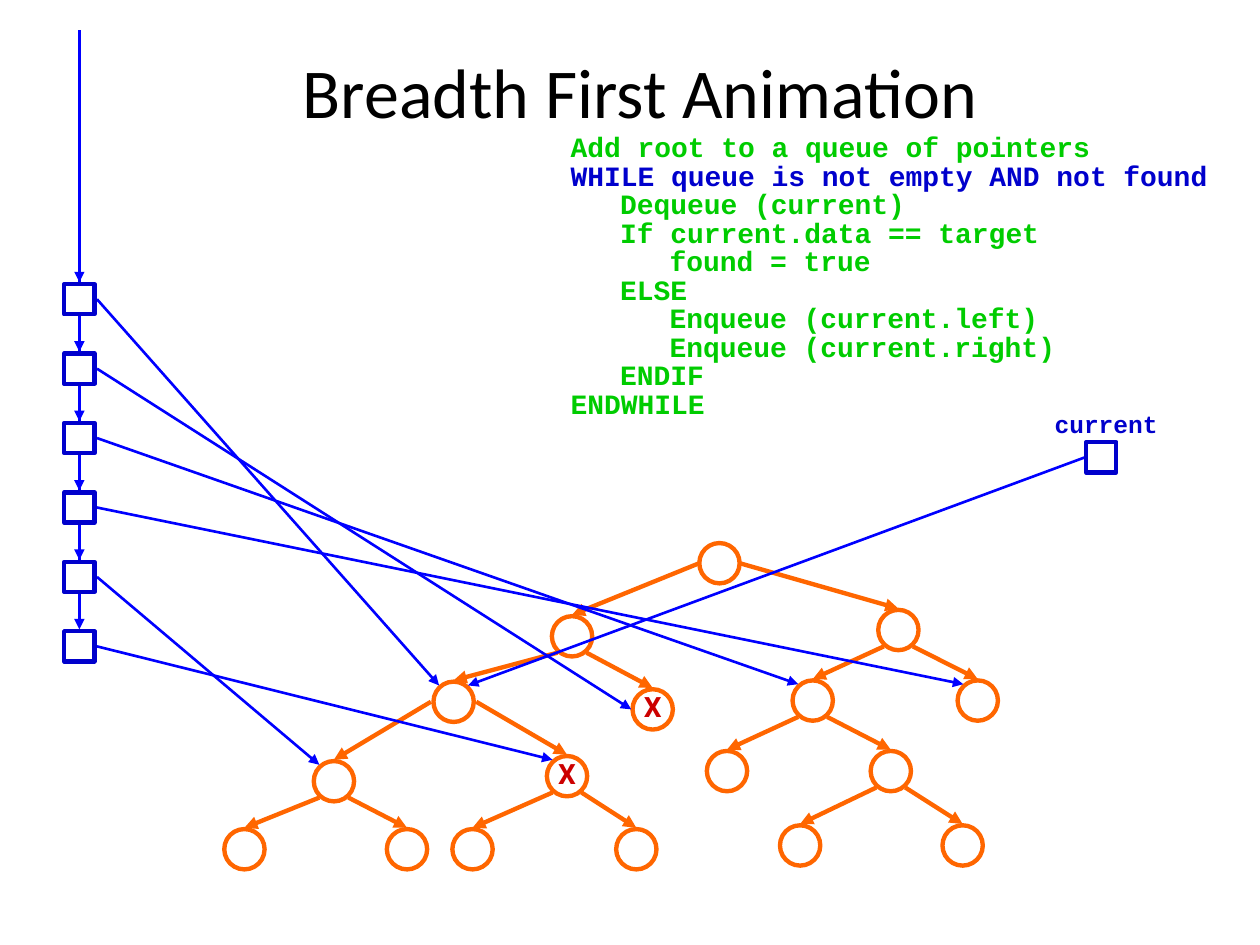
from lxml import etree
from pptx import Presentation
from pptx import util as u
from pptx.dml.color import RGBColor
from pptx.enum import shapes, text
from pptx.oxml import ns

THEME = {
    "black": RGBColor.from_string("000000"),
    "white": RGBColor.from_string("FFFFFF"),
    "tree": RGBColor.from_string("FF6600"),
    "queue": RGBColor.from_string("0000CC"),
    "pointer": RGBColor.from_string("0000FF"),
    "code": RGBColor.from_string("00CC00"),
    "mark": RGBColor.from_string("CC0000"),
    "title_size": u.Pt(40),
    "code_size": u.Pt(16),
    "label_size": u.Pt(14),
    "thick": u.Pt(2.5),
    "thin": u.Pt(1.5),
    "title_font": "Calibri",
    "code_font": "Courier New",
    "mark_font": "Roboto",
}

presentation = Presentation()
presentation.slide_width = u.Inches(10)
presentation.slide_height = u.Inches(7.5)
slide = presentation.slides.add_slide(presentation.slide_layouts[5])
cell = presentation.slide_width // 100


def add_arrow(start, end, color, width):
    line = slide.shapes.add_connector(
        shapes.MSO_CONNECTOR.STRAIGHT, *[int(value * cell) for value in (*start, *end)])
    line.line.color.rgb = color
    line.line.width = width
    etree.SubElement(line.line._get_or_add_ln(), ns.qn("a:tailEnd"), type="triangle")
    etree.SubElement(line._element.spPr, ns.qn("a:effectLst"))


def add_node(kind, center, size, color):
    left, top = [int((value - size / 2) * cell) for value in center]
    shape = slide.shapes.add_shape(kind, left, top, int(size * cell), int(size * cell))
    shape.shadow.inherit = False
    shape.fill.solid()
    shape.fill.fore_color.rgb = THEME["white"]
    shape.line.color.rgb = color
    shape.line.width = THEME["thick"]
    return shape


title = slide.shapes.title
title.left, title.top, title.width, title.height = [
    int(value * cell) for value in (8.3, 3.6, 85, 7.1)]
title.text_frame.text = "Breadth First Animation"
title.text_frame.vertical_anchor = text.MSO_ANCHOR.MIDDLE
paragraph = title.text_frame.paragraphs[0]
paragraph.alignment = text.PP_ALIGN.CENTER
paragraph.font.size = THEME["title_size"]
paragraph.font.name = THEME["title_font"]
paragraph.font.color.rgb = THEME["black"]

nodes = {
    "root": (57.1, 44.7),
    "left": (45.4, 50.5), "right": (71.3, 50),
    "left_left": (36, 55.7), "left_right": (51.8, 56.3),
    "right_left": (64.5, 55.6), "right_right": (77.6, 55.6),
    "inner_left": (26.5, 62), "inner_right": (45, 61.6),
    "lower_left": (57.7, 61.2), "lower_right": (70.7, 61.2),
    "leaf_1": (19.4, 67.4), "leaf_2": (32.3, 67.4),
    "leaf_3": (37.5, 67.4), "leaf_4": (50.5, 67.4),
    "leaf_5": (63.5, 67.1), "leaf_6": (76.4, 67.1),
}
children = {
    "root": ("left", "right"),
    "left": ("left_left", "left_right"),
    "right": ("right_left", "right_right"),
    "left_left": ("inner_left", "inner_right"),
    "right_left": ("lower_left", "lower_right"),
    "inner_left": ("leaf_1", "leaf_2"),
    "inner_right": ("leaf_3", "leaf_4"),
    "lower_right": ("leaf_5", "leaf_6"),
}
side_starts = {"root": 1.6, "left_left": 1.8}
marked = ("left_right", "inner_right")

for name, center in nodes.items():
    shape = add_node(shapes.MSO_SHAPE.OVAL, center, 3.2, THEME["tree"])
    if name in marked:
        frame = shape.text_frame
        frame.margin_left = frame.margin_right = frame.margin_top = frame.margin_bottom = 0
        frame.word_wrap = False
        frame.vertical_anchor = text.MSO_ANCHOR.MIDDLE
        frame.text = "X"
        paragraph = frame.paragraphs[0]
        paragraph.alignment = text.PP_ALIGN.CENTER
        paragraph.line_spacing = 0.85
        paragraph.font.size = THEME["code_size"]
        paragraph.font.name = THEME["mark_font"]
        paragraph.font.bold = True
        paragraph.font.color.rgb = THEME["mark"]

for parent, pair in children.items():
    column, row = nodes[parent]
    reach = side_starts.get(parent, 1.15)
    drop = 0 if parent in side_starts else 1.3
    for side, child in zip((-1, 1), pair):
        end_column, end_row = nodes[child]
        add_arrow((column + side * reach, row + drop), (end_column, end_row - 1.7),
                  THEME["tree"], THEME["thick"])

code = [
    (0, "Add root to a queue of pointers"),
    (0, "WHILE queue is not empty AND not found"),
    (1, "Dequeue (current)"),
    (1, "If current.data == target"),
    (2, "found = true"),
    (1, "ELSE"),
    (2, "Enqueue (current.left)"),
    (2, "Enqueue (current.right)"),
    (1, "ENDIF"),
    (0, "ENDWHILE"),
]
labels = [
    ((45.3, 10.7, 52, 22.6), code, THEME["code_size"], THEME["code"], text.PP_ALIGN.LEFT),
    ((83.1, 32.8, 9.4, 2), [(0, "current")], THEME["label_size"], THEME["queue"],
     text.PP_ALIGN.CENTER),
]
for place, lines, size, color, alignment in labels:
    box = slide.shapes.add_textbox(*[int(value * cell) for value in place])
    frame = box.text_frame
    frame.word_wrap = True
    frame.margin_left = frame.margin_right = frame.margin_top = frame.margin_bottom = 0
    for index, (level, words) in enumerate(lines):
        paragraph = frame.paragraphs[0] if index == 0 else frame.add_paragraph()
        paragraph.text = words
        paragraph.alignment = alignment
        paragraph.line_spacing = 0.85
        paragraph.font.size = size
        paragraph.font.name = THEME["code_font"]
        paragraph.font.bold = True
        paragraph.font.color.rgb = THEME["queue"] if words.startswith("WHILE") else color
        if level:
            paragraph._p.get_or_add_pPr().set("marL", str(int(level * 3.93 * cell)))

targets = ["left_left", "left_right", "right_left", "right_right", "inner_left", "inner_right"]
queue_column, queue_top, queue_step = 6.3, 23.75, 5.51
queue = [(queue_column, queue_top + index * queue_step) for index in range(len(targets))]

for (column, row), target in zip(queue, targets):
    add_arrow((column, 2.4), (column, row - 1.35), THEME["pointer"], THEME["thin"])
    offset = (-1.7, 0) if target == "left_right" else (-1.15, -1.3)
    end = [value + shift for value, shift in zip(nodes[target], offset)]
    add_arrow((column + 1.4, row), end, THEME["pointer"], THEME["thin"])

current = (87.4, 36.3)
column, row = nodes["left_left"]
add_arrow((current[0] - 1.3, current[1]), (column + 1.15, row - 1.3),
          THEME["pointer"], THEME["thin"])
for center in [*queue, current]:
    add_node(shapes.MSO_SHAPE.RECTANGLE, center, 2.4, THEME["queue"])

presentation.save("out.pptx")
